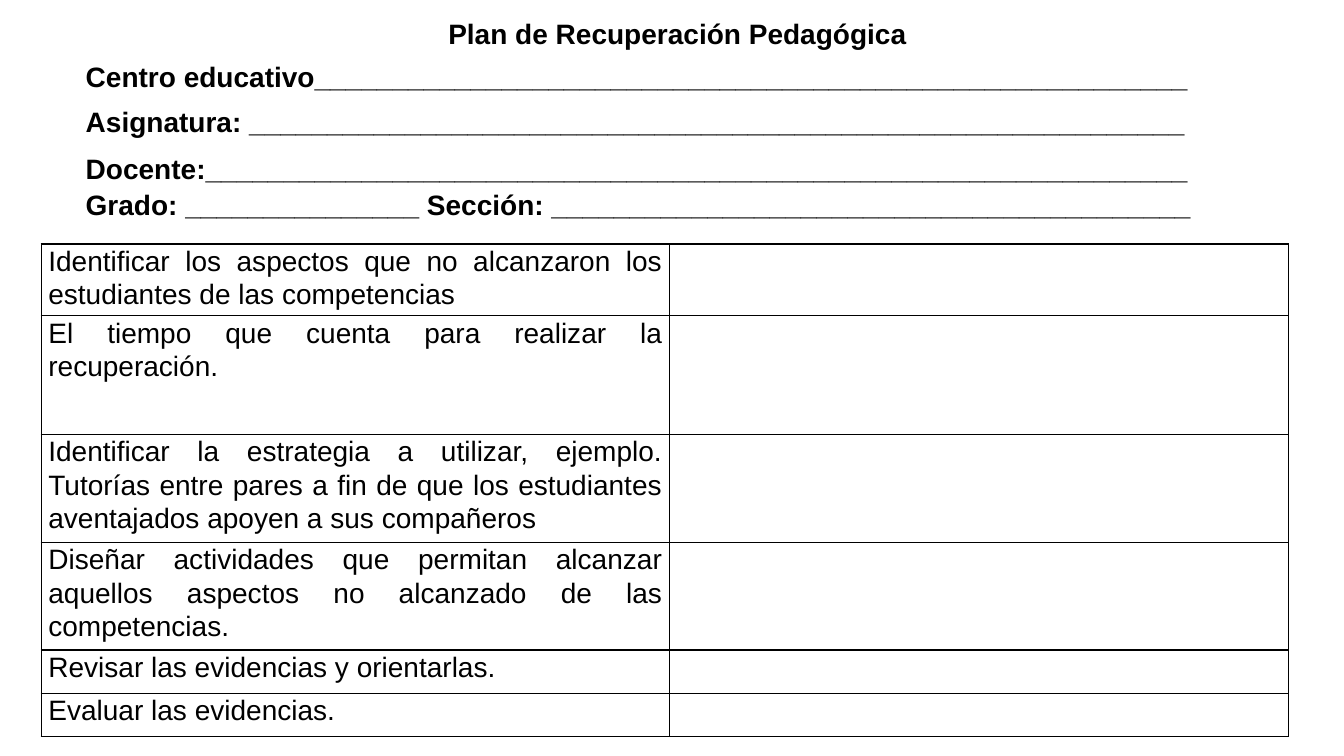
import pptx
import pptx.dml.color
import pptx.enum.text
import pptx.oxml.ns
import pptx.util
from lxml import etree

Inches = pptx.util.Inches
Pt = pptx.util.Pt
ALIGN = pptx.enum.text.PP_ALIGN
qn = pptx.oxml.ns.qn


def colour(value):
    return pptx.dml.color.RGBColor.from_string(value)


class PlanSlide:
    font_name = "Arial"
    font_size = Pt(20)
    ink = "000000"
    line_spacing = 1.07
    border = Pt(1)

    def __init__(self, deck):
        self.slide = deck.slides.add_slide(deck.slide_layouts[1])

    def format_paragraph(self, paragraph, align, bold=False, spacing=1.0):
        paragraph.alignment = align
        paragraph.line_spacing = spacing
        paragraph.space_before = Pt(0)
        paragraph.space_after = Pt(8)
        for run in paragraph.runs:
            run.font.name = self.font_name
            run.font.size = self.font_size
            run.font.bold = bold
            run.font.color.rgb = colour(self.ink)

    def place(self, placeholder, left, top, width, height):
        placeholder.left, placeholder.top = Inches(left), Inches(top)
        placeholder.width, placeholder.height = Inches(width), Inches(height)
        frame = placeholder.text_frame
        frame.word_wrap = True
        frame.auto_size = pptx.enum.text.MSO_AUTO_SIZE.NONE
        frame.vertical_anchor = pptx.enum.text.MSO_ANCHOR.TOP
        return frame

    def heading(self, text, *box):
        frame = self.place(self.slide.shapes.title, *box)
        frame.text = text
        self.format_paragraph(frame.paragraphs[0], ALIGN.CENTER, bold=True)

    def form_lines(self, lines, *box):
        frame = self.place(self.slide.placeholders[1], *box)
        frame.text = "\n".join(lines)
        for paragraph in frame.paragraphs:
            properties = paragraph._p.get_or_add_pPr()
            properties.set("marL", "0")
            properties.set("indent", "0")
            etree.SubElement(properties, qn("a:buNone"))
            self.format_paragraph(paragraph, ALIGN.LEFT, bold=True)
        frame.paragraphs[-1].line_spacing = self.line_spacing

    def outline_cell(self, cell):
        properties = cell._tc.get_or_add_tcPr()
        for side in ("a:lnL", "a:lnR", "a:lnT", "a:lnB"):
            line = etree.SubElement(properties, qn(side), w=str(self.border))
            fill = etree.SubElement(line, qn("a:solidFill"))
            etree.SubElement(fill, qn("a:srgbClr"), val=self.ink)
        cell.fill.background()

    def step_table(self, steps, left, top, widths):
        heights = [height for _, height in steps]
        table = self.slide.shapes.add_table(
            len(steps), len(widths), Inches(left), Inches(top),
            Inches(sum(widths)), Inches(sum(heights))).table
        table.first_row = False
        table.horz_banding = False
        for column, width in zip(table.columns, widths):
            column.width = Inches(width)
        for row, (step, height) in zip(table.rows, steps):
            row.height = Inches(height)
            for cell in row.cells:
                cell.margin_left = cell.margin_right = Inches(0.07)
                cell.margin_top = cell.margin_bottom = Inches(0)
                self.outline_cell(cell)
            step_cell = row.cells[0]
            step_cell.text = step
            self.format_paragraph(step_cell.text_frame.paragraphs[0],
                                  ALIGN.JUSTIFY, spacing=self.line_spacing)


def main():
    deck = pptx.Presentation()
    deck.slide_width, deck.slide_height = Inches(13.33), Inches(7.5)
    plan = PlanSlide(deck)
    plan.heading("Plan de Recuperación Pedagógica", 0.75, 0.11, 11.94, 0.43)
    plan.form_lines([
        "Centro educativo________________________________________________________",
        "Asignatura: ____________________________________________________________",
        "Docente:_______________________________________________________________\v"
        "Grado: _______________ Sección: _________________________________________",
    ], 0.75, 0.54, 11.94, 1.81)
    plan.step_table([
        ("Identificar los aspectos que no alcanzaron los estudiantes de las competencias", 0.71),
        ("El tiempo que cuenta para realizar la recuperación.", 1.18),
        ("Identificar la estrategia a utilizar, ejemplo. Tutorías entre pares a fin de que "
         "los estudiantes aventajados apoyen a sus compañeros", 1.07),
        ("Diseñar actividades que permitan alcanzar aquellos aspectos no alcanzado de las "
         "competencias.", 1.07),
        ("Revisar las evidencias y orientarlas.", 0.43),
        ("Evaluar las evidencias.", 0.43),
    ], 0.41, 2.42, [6.23, 6.14])
    deck.save("out.pptx")


if __name__ == "__main__":
    main()
